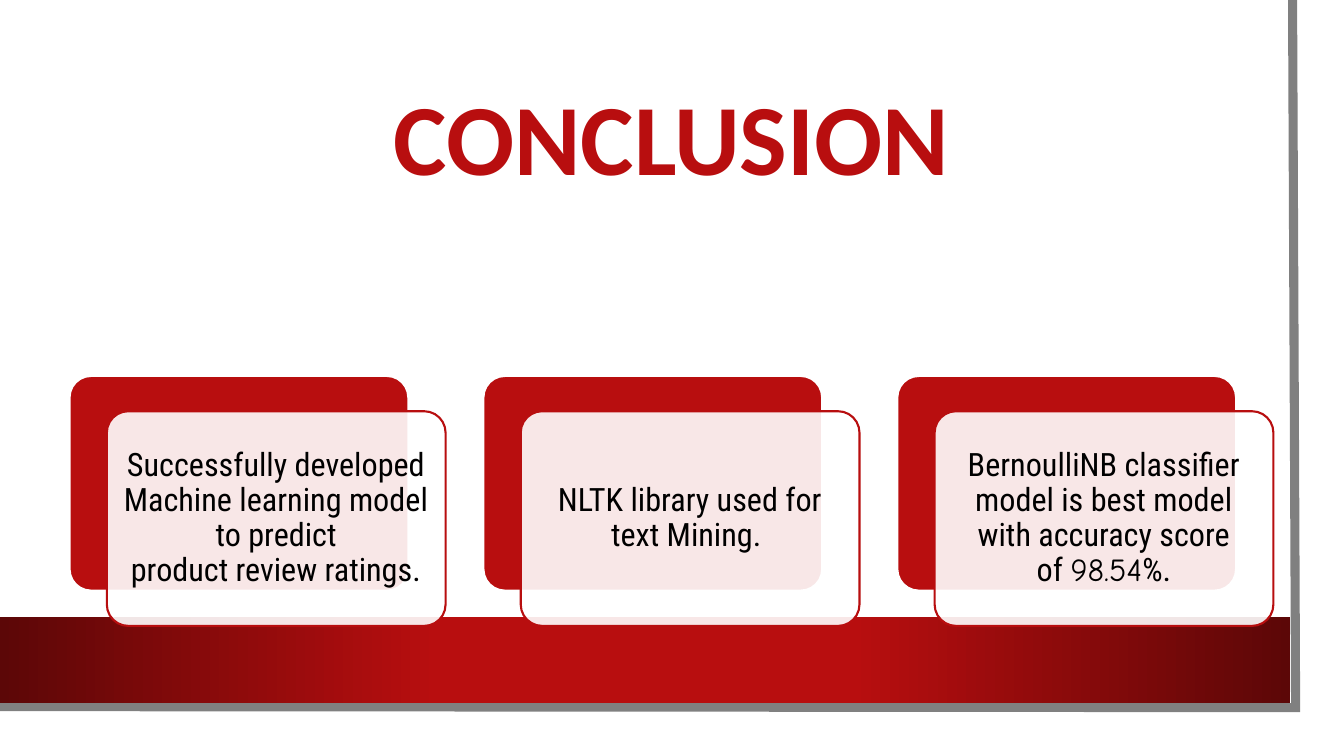
import pptx
import pptx.dml.color
import pptx.enum.shapes
import pptx.enum.text
import pptx.oxml
import pptx.oxml.ns
import pptx.util

Inches = pptx.util.Inches
Pt = pptx.util.Pt
Shapes = pptx.enum.shapes.MSO_SHAPE

COLORS = {"red": "B80E0F", "dark": "5C0707", "white": "FFFFFF", "gray": "808080", "black": "000000"}
TITLE = "CONCLUSION"
TEXT_FONT = "Roboto Condensed"
NUMBER_FONT = "Comic Neue"
HARD_SPACE = chr(160)
CARDS = [
    [(f"Successfully developed Machine learning model to predict product{HARD_SPACE}review ratings.", TEXT_FONT)],
    [(f"NLTK library used for text Mining.{HARD_SPACE}", TEXT_FONT)],
    [
        (f"BernoulliNB classifier model is best model with accuracy score of{HARD_SPACE}", TEXT_FONT),
        ("98.54", NUMBER_FONT),
        ("%.", TEXT_FONT),
    ],
]
BAND_STOPS = [(0, "dark"), (34, "red"), (66, "red"), (100, "dark")]
PAGE_EDGE = [(12.82, 0), (12.85, 7.02), (-0.03, 7.01)]
CARD_LEFT, LAST_CARD_LEFT, CARD_TOP = 0.69, 8.9, 3.73
CARD_STEP = (LAST_CARD_LEFT - CARD_LEFT) / (len(CARDS) - 1)
CARD_WIDTH, CARD_HEIGHT = 3.36, 2.13
OFFSET_X, OFFSET_Y = 0.37, 0.35
CARD_INSET = 0.1


def rgb(name):
    return pptx.dml.color.RGBColor.from_string(COLORS[name])


def make_element(tag, attributes="", content=""):
    namespace = pptx.oxml.ns.nsdecls("a")
    return pptx.oxml.parse_xml(f"<a:{tag} {namespace} {attributes}>{content}</a:{tag}>")


def add_box(slide, kind, left, top, width, height, fill, line=None):
    shape = slide.shapes.add_shape(kind, Inches(left), Inches(top), Inches(width), Inches(height))
    shape.shadow.inherit = False
    shape.fill.solid()
    shape.fill.fore_color.rgb = rgb(fill)
    if line:
        shape.line.color.rgb = rgb(line)
        shape.line.width = Pt(1.5)
    else:
        shape.line.fill.background()
    return shape


def style_paragraph(frame, font_name, size, color, bold=False):
    frame.word_wrap = True
    frame.vertical_anchor = pptx.enum.text.MSO_ANCHOR.MIDDLE
    paragraph = frame.paragraphs[0]
    paragraph.alignment = pptx.enum.text.PP_ALIGN.CENTER
    paragraph.line_spacing = 0.9
    paragraph.font.name = font_name
    paragraph.font.size = Pt(size)
    paragraph.font.bold = bold
    paragraph.font.color.rgb = rgb(color)
    return paragraph


def add_page(slide):
    add_box(slide, Shapes.RECTANGLE, 0, 0, 13.1, 7.27, "white")

    points = [(Inches(x), Inches(y)) for x, y in PAGE_EDGE]
    builder = slide.shapes.build_freeform(*points[0])
    builder.add_line_segments(points[1:], close=False)
    edge = builder.convert_to_shape()
    edge.shadow.inherit = False
    edge.fill.background()
    edge.line.color.rgb = rgb("gray")
    edge.line.width = Pt(6.5)
    edge._element.spPr.find(pptx.oxml.ns.qn("a:ln")).append(make_element("miter", 'lim="800000"'))

    band = add_box(slide, Shapes.RECTANGLE, 0, 6.12, 12.8, 0.85, "red")
    band.fill.gradient()
    band.fill.gradient_angle = 0
    stop_list = band._element.spPr.find(".//" + pptx.oxml.ns.qn("a:gsLst"))
    stop_list.clear()
    for position, color in BAND_STOPS:
        stop_list.append(make_element(
            "gs", f'pos="{position * 1000}"', f'<a:srgbClr val="{COLORS[color]}"/>'))


def add_title(slide):
    title = slide.shapes.add_textbox(Inches(0.69), Inches(0.7), Inches(11.94), Inches(1.44))
    paragraph = style_paragraph(title.text_frame, "Calibri", 72, "red", True)
    paragraph.add_run().text = TITLE


def add_card(slide, left, runs):
    back = add_box(slide, Shapes.ROUNDED_RECTANGLE, left, CARD_TOP,
                   CARD_WIDTH, CARD_HEIGHT, "red", "white")
    front = add_box(slide, Shapes.ROUNDED_RECTANGLE, left + OFFSET_X, CARD_TOP + OFFSET_Y,
                    CARD_WIDTH, CARD_HEIGHT, "white", "red")
    for shape in (back, front):
        shape.adjustments[0] = 0.1
    color = front._element.spPr.find(pptx.oxml.ns.qn("a:solidFill"))[0]
    color.append(make_element("alpha", 'val="90000"'))

    frame = front.text_frame
    frame.margin_left = frame.margin_right = Inches(CARD_INSET)
    frame.margin_top = frame.margin_bottom = Inches(CARD_INSET)
    paragraph = style_paragraph(frame, TEXT_FONT, 23, "black")
    for text, font_name in runs:
        run = paragraph.add_run()
        run.text = text
        if font_name != TEXT_FONT:
            run.font.name = font_name


def main():
    presentation = pptx.Presentation()
    presentation.slide_width = Inches(13.33)
    presentation.slide_height = Inches(7.5)
    slide = presentation.slides.add_slide(presentation.slide_layouts[6])
    add_page(slide)
    add_title(slide)
    for index, runs in enumerate(CARDS):
        add_card(slide, CARD_LEFT + index * CARD_STEP, runs)
    presentation.save("out.pptx")


if __name__ == "__main__":
    main()
